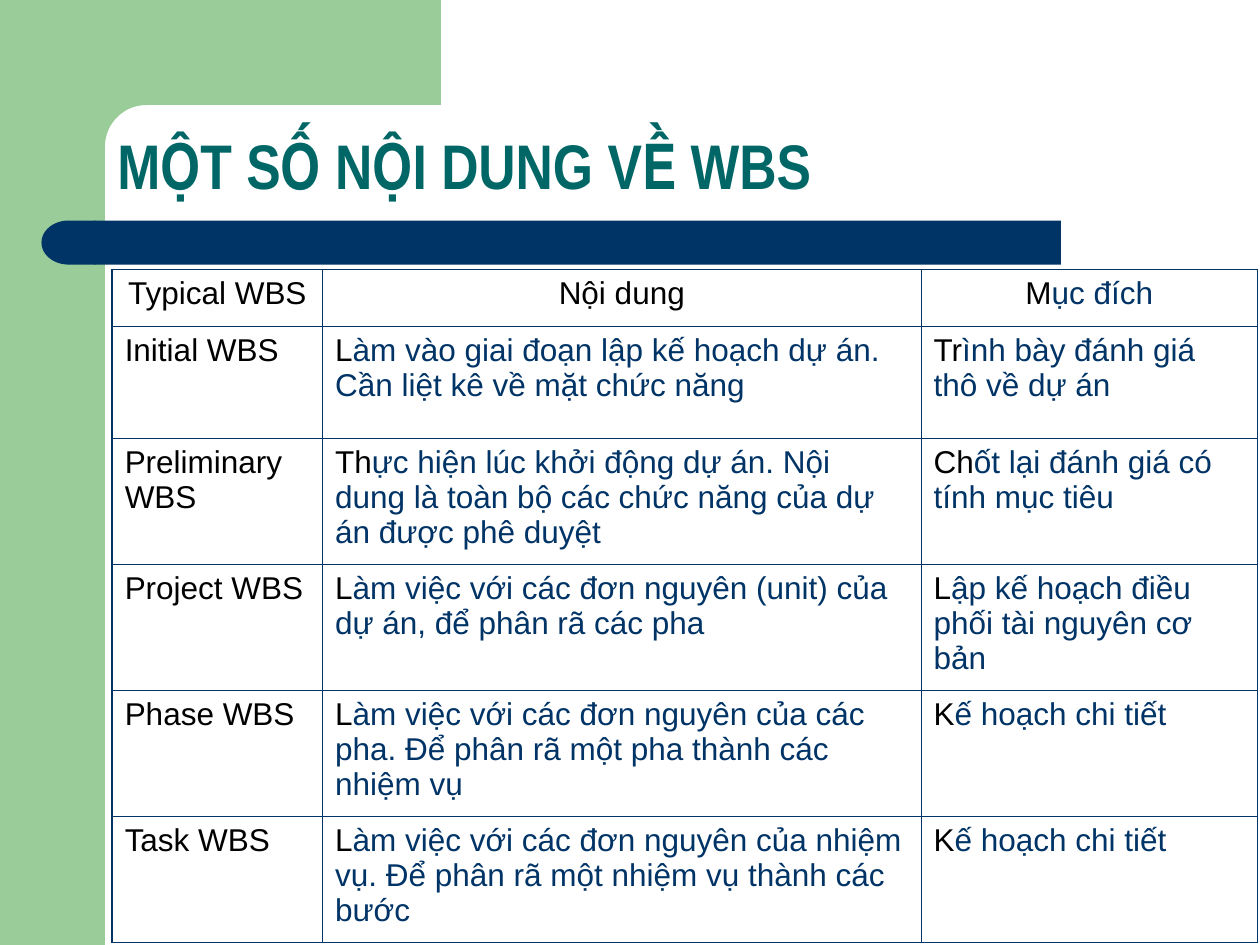
import math
import pptx
import pptx.util
import pptx.dml.color
import pptx.enum.shapes
import pptx.enum.text
import pptx.oxml
import pptx.oxml.ns

Inch, Pt = pptx.util.Inches, pptx.util.Pt
RGB = pptx.dml.color.RGBColor
Kind = pptx.enum.shapes.MSO_SHAPE
Align = pptx.enum.text.PP_ALIGN
NAVY, GREEN = RGB(0x00, 0x33, 0x66), RGB(0x99, 0xCC, 0x99)
TEAL, BLACK = RGB(0x00, 0x66, 0x66), RGB(0, 0, 0)
WIDE, HIGH = 10, 7.5

# Content: the part before "|" is black, the part after it navy
TITLE = "MỘT SỐ NỘI DUNG VỀ WBS"
ROWS = [
    ("Typical WBS", "Nội dung", "M|ục đích"),
    ("Initial WBS",
     "L|àm vào giai đoạn lập kế hoạch dự án. Cần liệt kê về mặt chức năng",
     "Tr|ình bày đánh giá thô về dự án"),
    ("Preliminary WBS",
     "Th|ực hiện lúc khởi động dự án. Nội dung là toàn bộ các chức năng "
     "của dự án được phê duyệt",
     "Ch|ốt lại đánh giá có tính mục tiêu"),
    ("Project WBS",
     "L|àm việc với các đơn nguyên (unit) của dự án, để phân rã các pha",
     "L|ập kế hoạch điều phối tài nguyên cơ bản"),
    ("Phase WBS",
     "L|àm việc với các đơn nguyên của các pha. Để phân rã một pha thành "
     "các nhiệm vụ",
     "K|ế hoạch chi tiết"),
    ("Task WBS",
     "L|àm việc với các đơn nguyên của nhiệm vụ. Để phân rã một nhiệm vụ "
     "thành các bước",
     "K|ế hoạch chi tiết"),
]
COLS = (1.67, 4.75, 2.67)
TALL = (0.45, 0.89, 1, 1, 1, 1)
THIN, THICK = 0.45, 1.08

deck = pptx.Presentation()
deck.slide_width, deck.slide_height = Inch(WIDE), Inch(HIGH)
slide = deck.slides.add_slide(deck.slide_layouts[6])
shapes = slide.shapes


def paint(shape, fill):
    shape.shadow.inherit = False
    shape.line.fill.background()
    if fill is None:
        shape.fill.background()
    else:
        shape.fill.solid()
        shape.fill.fore_color.rgb = fill
    return shape


def block(kind, box, fill=None):
    shape = paint(shapes.add_shape(kind, *map(Inch, box)), fill)
    if kind == Kind.ROUNDED_RECTANGLE:
        shape.adjustments[0] = 0
    return shape


def write(para, text, look):
    run = para.add_run()
    run.text = text
    color = look["color"]
    for key, value in look.items():
        if key != "color":
            setattr(run.font, key, value)
    run.font.color.rgb = color


def border(cell, side, width):
    props = cell._tc.get_or_add_tcPr()
    props.append(pptx.oxml.parse_xml(
        f'<a:ln{side} {pptx.oxml.ns.nsdecls("a")} w="{Pt(width)}">'
        f'<a:solidFill><a:srgbClr val="{NAVY}"/></a:solidFill></a:ln{side}>'))


# Green side band, and top band with a rounded inner corner
edge, top, bend = WIDE / 12, HIGH / 9, 0.33
block(Kind.RECTANGLE, (0, 0, edge, HIGH), GREEN)
arc = [(edge + bend - bend * math.sin(turn), top + bend - bend * math.cos(turn))
       for turn in (math.radians(step) for step in range(0, 91, 6))]
dots = [(3.5, top), *arc, (edge, 1.28), (0.5, 1.28), (0.5, 0)]
band = shapes.build_freeform(Inch(3.5), 0)
band.add_line_segments([(Inch(x), Inch(y)) for x, y in dots])
paint(band.convert_to_shape(), GREEN)

# Navy bar with a round left end
block(Kind.ROUNDED_RECTANGLE, (0.75, 1.75, 7.67, 0.35), NAVY)
cap = block(Kind.FLOWCHART_DELAY, (0.33, 1.75, 0.43, 0.35), NAVY)
cap.element.spPr.xfrm.set("flipH", "1")

# Table
frame = shapes.add_table(len(ROWS), len(COLS), Inch(0.89), Inch(2.14),
                         Inch(sum(COLS)), Inch(sum(TALL)))
grid = frame.table
grid.first_row = grid.horz_banding = False
for col, width in zip(grid.columns, COLS):
    col.width = Inch(width)
for r, (row, words) in enumerate(zip(grid.rows, ROWS)):
    row.height = Inch(TALL[r])
    for c, text in enumerate(words):
        cell = row.cells[c]
        outer = {"L": c == 0, "R": c == len(COLS) - 1,
                 "T": r == 0, "B": r == len(ROWS) - 1}
        for side, rim in outer.items():
            border(cell, side, THICK if rim else THIN)
        cell.fill.background()
        para = cell.text_frame.paragraphs[0]
        para.space_before = Pt(4.5)
        para.alignment = Align.LEFT if r else Align.CENTER
        for part, color in zip(text.split("|"), (BLACK, NAVY)):
            write(para, part, {"size": Pt(18), "name": "Arial", "color": color})

# Title
head = block(Kind.ROUNDED_RECTANGLE, (edge, top, 7.67, 0.83))
body = head.text_frame
body.word_wrap = True
body.vertical_anchor = pptx.enum.text.MSO_ANCHOR.BOTTOM
para = body.paragraphs[0]
para.alignment, para.line_spacing = Align.LEFT, 0.9
write(para, TITLE, {"size": Pt(36), "name": "Arial Narrow", "bold": True,
                    "color": TEAL})

deck.save("out.pptx")
